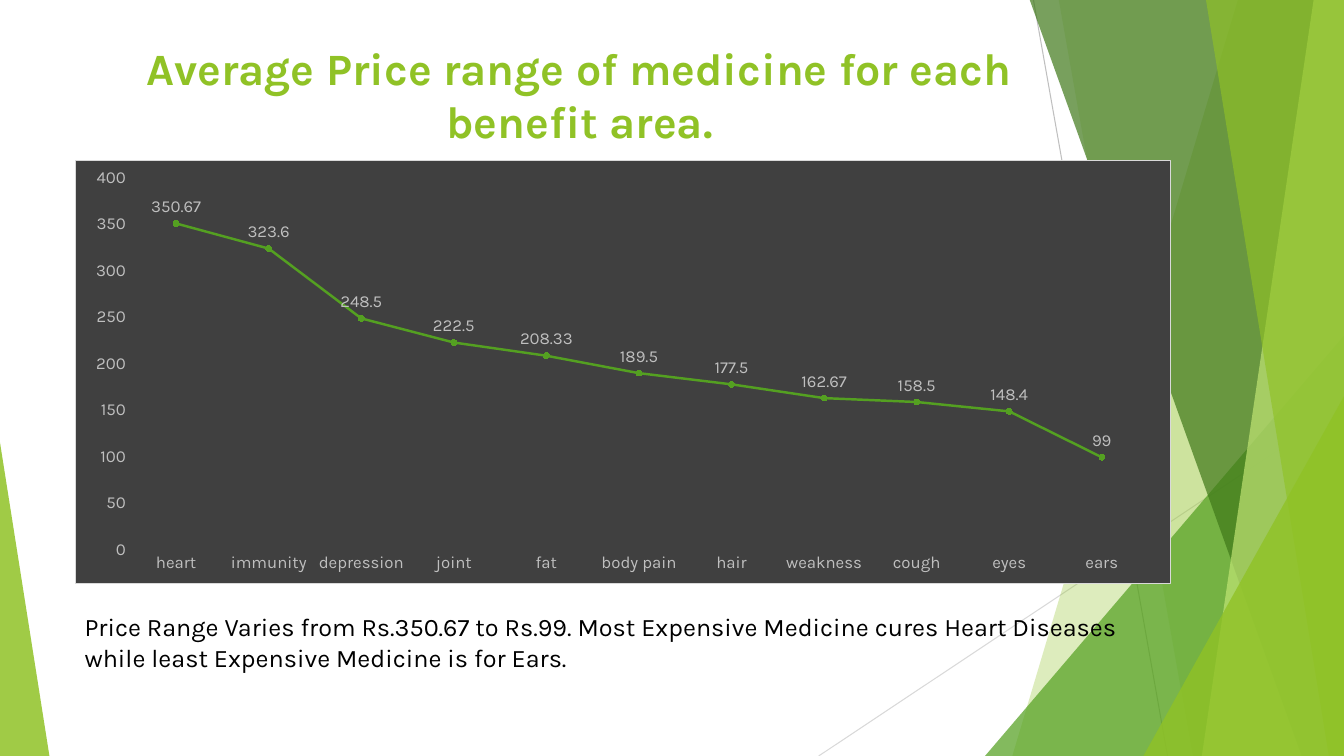
from lxml import etree
from pptx import Presentation
from pptx.chart.data import CategoryChartData
from pptx.dml.color import RGBColor
from pptx.enum import chart as chart_enum, shapes, text
from pptx.oxml import parse_xml
from pptx.oxml.ns import nsdecls, qn
from pptx.util import Inches, Pt

# Content
TITLE = "Average Price range of medicine for each benefit area."
NOTE = ("Price Range Varies from Rs.350.67 to Rs.99. Most Expensive Medicine cures "
        "Heart Diseases while least Expensive Medicine is for Ears.")
PRICES = {
    "heart": 350.67, "immunity": 323.6, "depression": 248.5, "joint": 222.5,
    "fat": 208.33, "body pain": 189.5, "hair": 177.5, "weakness": 162.67,
    "cough": 158.5, "eyes": 148.4, "ears": 99,
}
THEME = {
    "font": "Karla", "lime": "90C226", "green": "54A021", "forest": "3F7819",
    "pale": "C0E474", "panel": "404040", "label": "BFBFBF", "rule": "D9D9D9",
    "black": "000000", "title": 32, "note": 18, "chart": 12, "hairline": 0.75,
}
WIDTH, HEIGHT = 13.33, 7.5
TOP = -0.01

# Decoration, back to front
LINES = [((10.25, 0), (11.58, HEIGHT), "label"), ((WIDTH, 4.03), (8.12, HEIGHT), "rule")]
# Bands run to the right edge: (top x, bottom x, colour, opacity %)
# Triangles: (left, top, width, apex, colour, opacity %)
FACETS = [
    ("band", 12.28, 10.04, "lime", 30),
    ("band", 10.5, 11.83, "lime", 20),
    ("triangle", 9.77, 3.33, 3.56, 1, "green", 72),
    ("band", 10.21, 12.91, "forest", 70),
    ("band", 13.03, 11.92, "pale", 70),
    ("band", 11.96, 13.18, "lime", 65),
    ("triangle", 11.34, 3.93, 1.99, 1, "lime", 80),
    ("triangle", 0, 4.39, 0.49, 0, "lime", 85),
]


def colour(name):
    return RGBColor.from_string(THEME[name])


def style_font(font, size, name, bold=False):
    for key, value in {"name": THEME["font"], "size": Pt(THEME[size]), "bold": bold}.items():
        setattr(font, key, value)
    font.color.rgb = colour(name)


def add_line(page, start, end, name):
    line = page.shapes.add_connector(
        shapes.MSO_CONNECTOR.STRAIGHT, *(Inches(v) for v in (*start, *end)))
    line.line.color.rgb = colour(name)
    line.line.width = Pt(THEME["hairline"])
    etree.SubElement(line.element.spPr, qn("a:effectLst"))


def add_facet(page, kind, *values):
    *geometry, name, opacity = values
    if kind == "band":
        top_x, bottom_x = geometry
        corners = [(WIDTH, TOP), (WIDTH, HEIGHT), (bottom_x, HEIGHT)]
        builder = page.shapes.build_freeform(Inches(top_x), Inches(TOP))
        builder.add_line_segments([(Inches(x), Inches(y)) for x, y in corners], close=True)
        facet = builder.convert_to_shape()
    else:
        left, top, width, apex = geometry
        facet = page.shapes.add_shape(
            shapes.MSO_SHAPE.ISOSCELES_TRIANGLE,
            *(Inches(v) for v in (left, top, width, HEIGHT - top)))
        facet.adjustments[0] = apex
    facet.shadow.inherit = False
    facet.fill.solid()
    facet.fill.fore_color.rgb = colour(name)
    facet.line.fill.background()
    tint = facet.element.spPr.find(qn("a:solidFill")).find(qn("a:srgbClr"))
    etree.SubElement(tint, qn("a:alpha"), val=str(opacity * 1000))


def add_text(page, bounds, words, size, name, bold=False, align=text.PP_ALIGN.LEFT):
    box = page.shapes.add_textbox(*(Inches(v) for v in bounds))
    box.text_frame.word_wrap = True
    para = box.text_frame.paragraphs[0]
    para.alignment = align
    span = para.add_run()
    span.text = words
    style_font(span.font, size, name, bold)


def add_price_chart(page, bounds):
    data = CategoryChartData()
    data.categories = list(PRICES)
    data.add_series("Series 1", list(PRICES.values()))
    chart = page.shapes.add_chart(
        chart_enum.XL_CHART_TYPE.LINE_MARKERS_STACKED,
        *(Inches(v) for v in bounds), data).chart
    chart.has_legend = chart.has_title = False
    style_font(chart.font, "chart", "label")

    # Axes
    for axis in (chart.category_axis, chart.value_axis):
        axis.has_major_gridlines = False
        axis.major_tick_mark = axis.minor_tick_mark = chart_enum.XL_TICK_MARK.NONE
        axis.format.line.fill.background()
        style_font(axis.tick_labels.font, "chart", "label")
    scale = {"minimum_scale": 0, "maximum_scale": 400, "major_unit": 50}
    for key, value in scale.items():
        setattr(chart.value_axis, key, value)

    # Line, markers and labels
    plot = chart.plots[0]
    plot.vary_by_categories = False
    series = plot.series[0]
    series.smooth = False
    series.format.line.color.rgb = colour("green")
    series.format.line.width = Pt(1.75)
    series.marker.style = chart_enum.XL_MARKER_STYLE.CIRCLE
    series.marker.size = 4
    series.marker.format.fill.solid()
    series.marker.format.fill.fore_color.rgb = colour("green")
    series.marker.format.line.color.rgb = colour("green")
    labels = series.data_labels
    labels.show_value = True
    labels.position = chart_enum.XL_LABEL_POSITION.ABOVE
    style_font(labels.font, "chart", "label")

    # Plot area position, as shares of the chart
    area = chart.element.find(qn("c:chart")).find(qn("c:plotArea"))
    for old in area.findall(qn("c:layout")):
        area.remove(old)
    layout = etree.Element(qn("c:layout"))
    manual = etree.SubElement(layout, qn("c:manualLayout"))
    settings = {"layoutTarget": "inner", "xMode": "edge", "yMode": "edge",
                "x": 0.05, "y": 0.04, "w": 0.93, "h": 0.88}
    for key, value in settings.items():
        etree.SubElement(manual, qn(f"c:{key}"), val=str(value))
    area.insert(0, layout)

    # Dark panel
    panel = parse_xml(
        f'<c:spPr {nsdecls("c", "a")}>'
        f'<a:solidFill><a:srgbClr val="{THEME["panel"]}"/></a:solidFill>'
        f'<a:ln w="{Pt(THEME["hairline"])}"><a:solidFill>'
        f'<a:srgbClr val="{THEME["rule"]}"/></a:solidFill></a:ln></c:spPr>')
    chart.element.find(qn("c:txPr")).addprevious(panel)


def main():
    deck = Presentation()
    deck.slide_width, deck.slide_height = Inches(WIDTH), Inches(HEIGHT)
    page = deck.slides.add_slide(deck.slide_layouts[6])
    for line in LINES:
        add_line(page, *line)
    for facet in FACETS:
        add_facet(page, *facet)
    add_price_chart(page, (0.74, 1.59, 10.87, 4.2))
    add_text(page, (0.74, 0.35, 10.02, 0.88), TITLE, "title", "lime", True,
             text.PP_ALIGN.CENTER)
    add_text(page, (0.74, 6.02, 10.76, 0.71), NOTE, "note", "black")
    deck.save("out.pptx")


if __name__ == "__main__":
    main()
